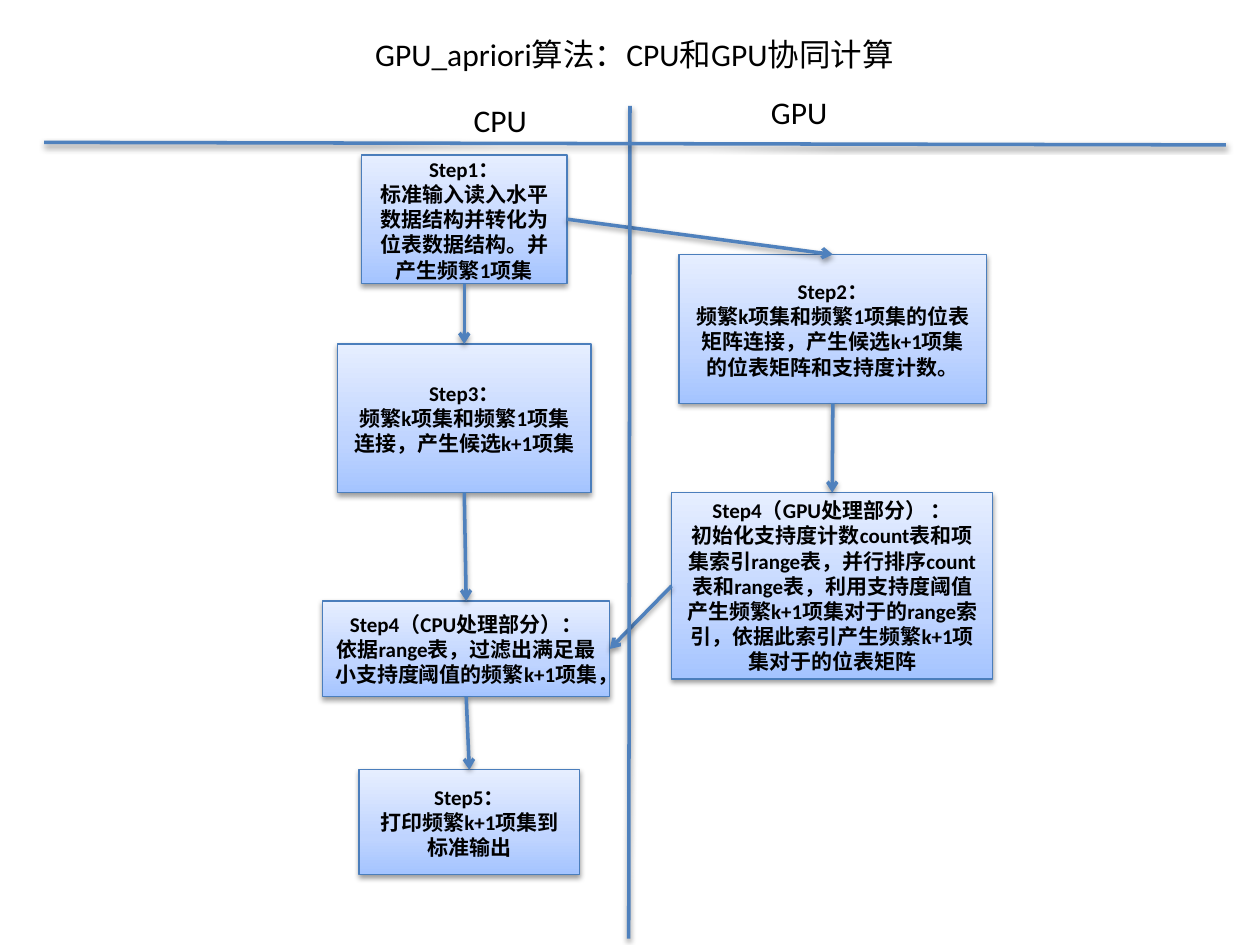
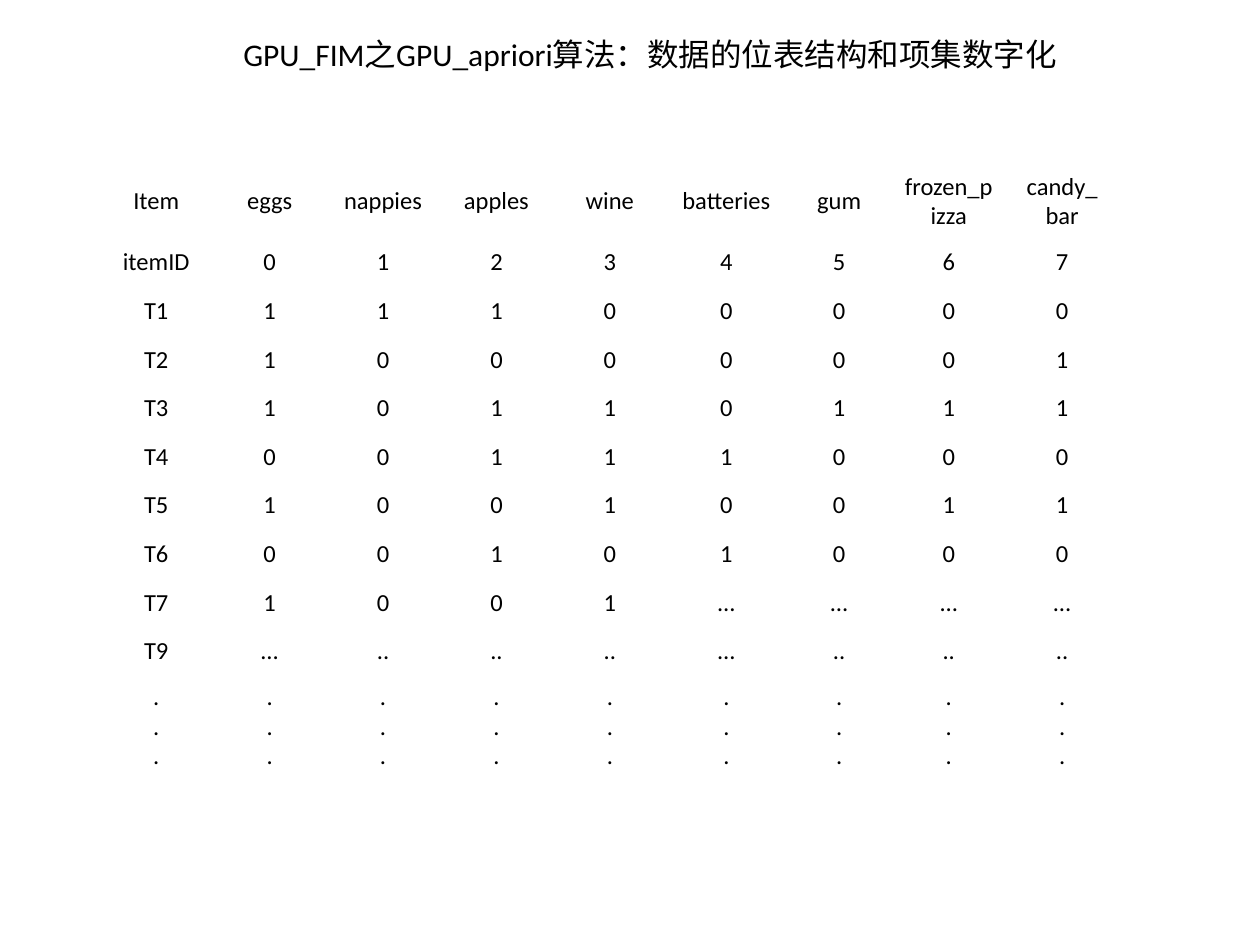
from dataclasses import dataclass

from lxml.etree import SubElement
from pptx import Presentation
from pptx.dml.color import RGBColor
from pptx.enum.shapes import MSO_CONNECTOR as Connector, MSO_SHAPE as Preset
from pptx.enum.text import MSO_ANCHOR as Anchor, MSO_AUTO_SIZE as AutoSize, PP_ALIGN as Align
from pptx.oxml import parse_xml
from pptx.oxml.ns import nsdecls, qn
from pptx.util import Inches, Pt

COLORS = {
    "text": "000000",
    "box_line": "4B7EBC",
    "line": "4F81BD",
    "shadow": "000000",
    "box_bottom": "A4C4FF",
    "box_middle": "BFD4FF",
    "box_top": "E6EEFF",
}
FONT = "Calibri"
HEADING = {"name": FONT, "size": Pt(18)}
STEP = {"name": FONT, "size": Pt(12), "bold": True}
CELL = {"name": FONT, "size": Pt(14)}

# Slide grid: 100 columns by 75 rows of square modules.
COLUMNS, ROWS = 100, 75
MODULE = Inches(0.1)
TOP, LEFT, BOTTOM, RIGHT = range(4)  # connection sites of a rectangle


@dataclass(frozen=True)
class Area:
    column: float
    row: float
    columns: float
    rows: float

    def lengths(self) -> list[int]:
        return [grid(n) for n in (self.column, self.row, self.columns, self.rows)]


@dataclass(frozen=True)
class Step:
    key: str
    area: Area
    heading: str
    detail: str


@dataclass(frozen=True)
class Arrow:
    source: str
    source_side: int
    target: str
    target_side: int


STEPS = [
    Step("read", Area(28.7, 12.3, 16.3, 10.2), "Step1：",
         "标准输入读入水平数据结构并转化为位表数据结构。并产生频繁1项集"),
    Step("join_bits", Area(53.9, 20.2, 24.4, 11.8), "Step2：",
         "频繁k项集和频繁1项集的位表矩阵连接，产生候选k+1项集的位表矩阵和支持度计数。"),
    Step("join_items", Area(26.8, 27.3, 20.1, 11.8), "Step3：",
         "频繁k项集和频繁1项集连接，产生候选k+1项集"),
    Step("sort", Area(53.3, 39.1, 25.5, 14.8), "Step4（GPU处理部分） ：",
         "初始化支持度计数count表和项集索引range表，并行排序count表和range表，"
         "利用支持度阈值产生频繁k+1项集对于的range索引，"
         "依据此索引产生频繁k+1项集对于的位表矩阵"),
    Step("filter", Area(25.6, 47.7, 22.8, 7.6), "Step4（CPU处理部分）：",
         "依据range表，过滤出满足最小支持度阈值的频繁k+1项集，"),
    Step("print", Area(28.5, 61.1, 17.5, 8.3), "Step5：",
         "打印频繁k+1项集到标准输出"),
]
ARROWS = [
    Arrow("read", RIGHT, "join_bits", TOP),
    Arrow("read", BOTTOM, "join_items", TOP),
    Arrow("join_bits", BOTTOM, "sort", TOP),
    Arrow("join_items", BOTTOM, "filter", TOP),
    Arrow("sort", LEFT, "filter", RIGHT),
    Arrow("filter", BOTTOM, "print", TOP),
]
DIVIDERS = [(50, 8.4, 49.9, 74.5), (3.5, 11.3, 97.3, 11.5)]

BIT_TABLE = [
    ["Item", "eggs", "nappies", "apples", "wine", "batteries", "gum",
     "frozen_pizza", "candy_\nbar"],
    ["itemID", *"01234567"],
    ["T1", *"11100000"],
    ["T2", *"10000001"],
    ["T3", *"10110111"],
    ["T4", *"00111000"],
    ["T5", *"10010011"],
    ["T6", *"00101000"],
    ["T7", *"1001", *["…"] * 4],
    ["T9", "…", "..", "..", "..", "…", "..", "..", ".."],
    [".\n.\n."] * 9,
]
TABLE_COLUMNS = [9] * 5 + [9.5, 8.4] + [9] * 2
TABLE_ROWS = [5.8] + [3.86] * 9 + [7.7]


def grid(modules: float) -> int:
    return round(modules * MODULE)


def write(frame, text: str, style: dict, align=Align.CENTER) -> None:
    """Fill a text frame, one paragraph for each line of text."""
    frame.text = text
    for para in frame.paragraphs:
        para.alignment = align
        for span in para.runs:
            for name, value in style.items():
                setattr(span.font, name, value)
            span.font.color.rgb = RGBColor.from_string(COLORS["text"])


def add_label(page, area: Area, text: str, align=Align.LEFT) -> None:
    frame = page.shapes.add_textbox(*area.lengths()).text_frame
    frame.word_wrap = True
    frame.auto_size = AutoSize.SHAPE_TO_FIT_TEXT
    write(frame, text, HEADING, align)


def add_shadow(shape) -> None:
    shape._element.spPr.append(parse_xml(
        f'<a:effectLst {nsdecls("a")}>'
        f'<a:outerShdw blurRad="{Pt(3.1)}" dist="{Pt(1.6)}" dir="5400000" rotWithShape="0">'
        f'<a:srgbClr val="{COLORS["shadow"]}"><a:alpha val="38000"/></a:srgbClr>'
        '</a:outerShdw></a:effectLst>'))


def set_line(shape, color: str, width: float) -> None:
    shape.line.color.rgb = RGBColor.from_string(COLORS[color])
    shape.line.width = Pt(width)


def add_step(page, step: Step):
    box = page.shapes.add_shape(Preset.RECTANGLE, *step.area.lengths())
    stops = "".join(
        f'<a:gs pos="{share * 1000}"><a:srgbClr val="{COLORS[color]}"/></a:gs>'
        for share, color in ((0, "box_bottom"), (35, "box_middle"), (100, "box_top")))
    box._element.spPr.find(qn("a:prstGeom")).addnext(parse_xml(
        f'<a:gradFill {nsdecls("a")} rotWithShape="1"><a:gsLst>{stops}</a:gsLst>'
        '<a:lin ang="16200000" scaled="0"/></a:gradFill>'))
    set_line(box, "box_line", 0.75)
    add_shadow(box)
    frame = box.text_frame
    frame.word_wrap = True
    frame.vertical_anchor = Anchor.MIDDLE
    write(frame, f"{step.heading}\n{step.detail}", STEP)
    return box


def add_line(page, *ends: float):
    line = page.shapes.add_connector(Connector.STRAIGHT, *map(grid, ends))
    set_line(line, "line", 2)
    add_shadow(line)
    return line


def add_arrow(page, arrow: Arrow, boxes: dict) -> None:
    line = add_line(page, 0, 0, 0, 0)
    line.begin_connect(boxes[arrow.source], arrow.source_side)
    line.end_connect(boxes[arrow.target], arrow.target_side)
    SubElement(line.line._get_or_add_ln(), qn("a:tailEnd"), type="arrow")


def add_page(deck, title: str, column: float, columns: float):
    page = deck.slides.add_slide(deck.slide_layouts[6])
    add_label(page, Area(column, 2.3, columns, 4), title, Align.CENTER)
    return page


def build_flow(deck) -> None:
    page = add_page(deck, "GPU_apriori算法：CPU和GPU协同计算", 3.5, 93.7)
    boxes = {step.key: add_step(page, step) for step in STEPS}
    for arrow in ARROWS:
        add_arrow(page, arrow, boxes)
    for ends in DIVIDERS:
        add_line(page, *ends)
    add_label(page, Area(36.6, 7.5, 7.1, 4), "CPU")
    add_label(page, Area(60.2, 6.9, 7.1, 4), "GPU")


def build_bit_table(deck) -> None:
    page = add_page(deck, "GPU_FIM之GPU_apriori算法：数据的位表结构和项集数字化", 2.8, 97.6)
    area = Area(7.9, 13.1, sum(TABLE_COLUMNS), sum(TABLE_ROWS))
    table = page.shapes.add_table(len(TABLE_ROWS), len(TABLE_COLUMNS), *area.lengths()).table
    table.first_row = table.horz_banding = False
    for column, width in zip(table.columns, TABLE_COLUMNS):
        column.width = grid(width)
    for row, height, values in zip(table.rows, TABLE_ROWS, BIT_TABLE):
        row.height = grid(height)
        for cell, value in zip(row.cells, values):
            cell.fill.background()
            cell.vertical_anchor = Anchor.MIDDLE
            write(cell.text_frame, value, CELL)


def main() -> None:
    deck = Presentation()
    deck.slide_width, deck.slide_height = grid(COLUMNS), grid(ROWS)
    build_flow(deck)
    build_bit_table(deck)
    deck.save("out.pptx")


if __name__ == "__main__":
    main()
